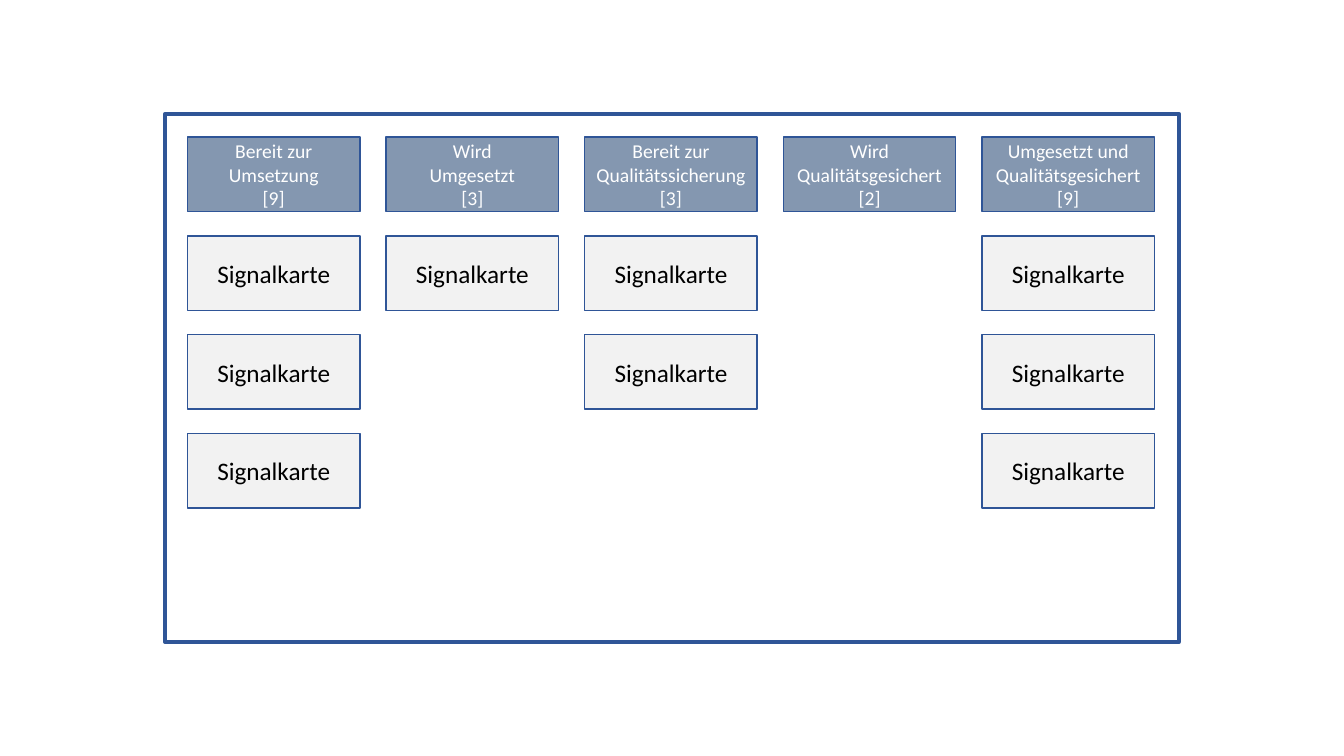
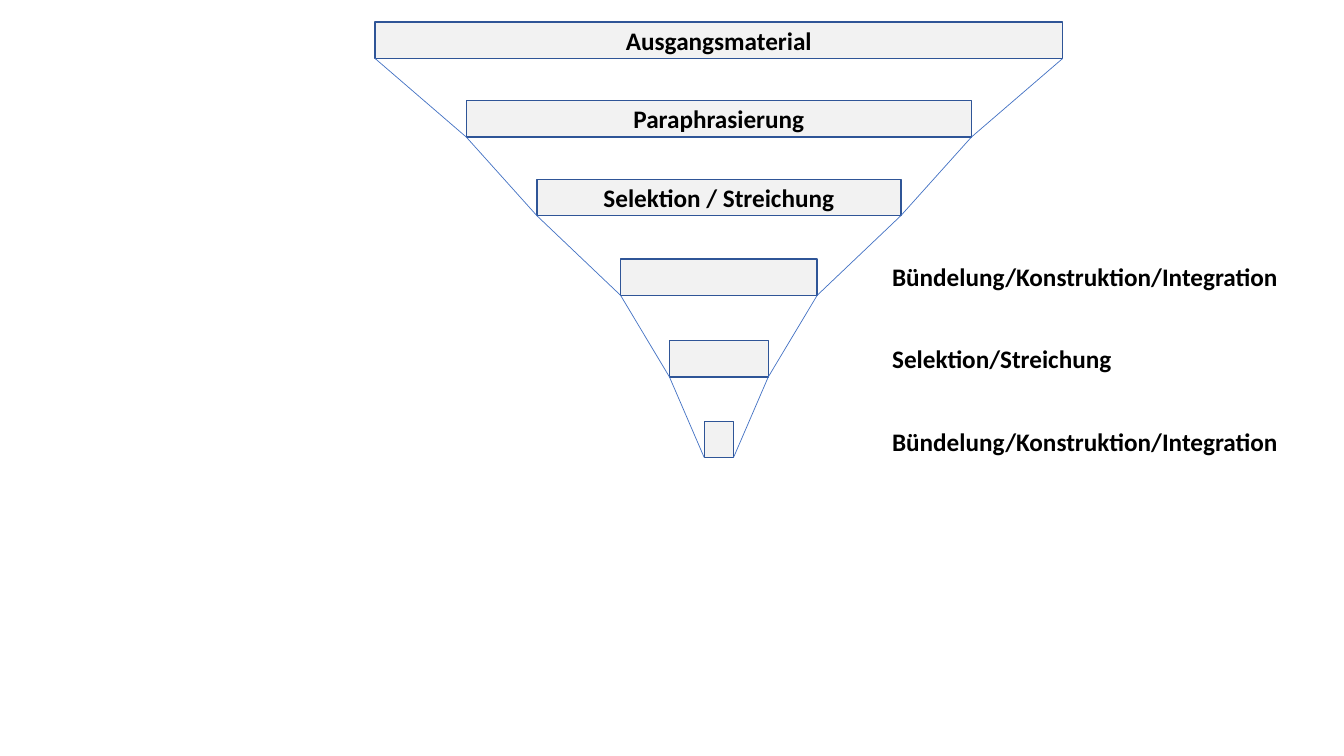
from dataclasses import dataclass
from itertools import pairwise

from pptx import Presentation
from pptx.dml.color import RGBColor
from pptx.enum.shapes import MSO_CONNECTOR, MSO_SHAPE
from pptx.enum.text import MSO_ANCHOR, MSO_AUTO_SIZE, PP_ALIGN
from pptx.oxml.ns import qn
from pptx.shapes.shapetree import GroupShapes
from pptx.text.text import TextFrame
from pptx.util import Inches, Pt
from lxml.etree import SubElement

WHITE = RGBColor(0xFF, 0xFF, 0xFF)
BLACK = RGBColor(0x00, 0x00, 0x00)
OUTLINE_BLUE = RGBColor(0x2F, 0x55, 0x97)
HEADER_BLUE = RGBColor(0x84, 0x97, 0xB0)
FUNNEL_BLUE = RGBColor(0x44, 0x72, 0xC4)
LIGHT_GREY = RGBColor(0xF2, 0xF2, 0xF2)
FONT = "Calibri"
BLANK_LAYOUT = 6


@dataclass(frozen=True)
class Area:
    left: float
    top: float
    width: float
    height: float

    @property
    def right(self) -> float:
        return self.left + self.width

    @property
    def bottom(self) -> float:
        return self.top + self.height

    def inches(self) -> tuple[int, int, int, int]:
        return (Inches(self.left), Inches(self.top),
                Inches(self.width), Inches(self.height))


@dataclass(frozen=True)
class TextStyle:
    size: int
    color: RGBColor
    bold: bool = False
    align: PP_ALIGN = PP_ALIGN.CENTER


@dataclass(frozen=True)
class Column:
    heading: tuple[str, ...]
    cards: int


@dataclass(frozen=True)
class Stage:
    top: float
    width: float
    text: str = ""


HEADER_TEXT = TextStyle(14, WHITE)
CARD_TEXT = TextStyle(18, BLACK)
BAR_TEXT = TextStyle(18, BLACK, bold=True)
LABEL_TEXT = TextStyle(18, BLACK, bold=True, align=PP_ALIGN.LEFT)

BOARD = Area(1.64, 1.13, 10.05, 5.24)
FIRST_CELL = Area(1.86, 1.36, 1.71, 0.74)
COLUMN_STEP, ROW_STEP = 1.97, 0.98
COLUMNS = (
    Column(("Bereit zur Umsetzung", "[9]"), 3),
    Column(("Wird", "Umgesetzt", "[3]"), 1),
    Column(("Bereit zur Qualitätssicherung", "[3]"), 2),
    Column(("Wird Qualitätsgesichert", "[2]"), 0),
    Column(("Umgesetzt und Qualitätsgesichert", "[9]"), 3),
)

FUNNEL_CENTER, BAR_HEIGHT = 7.13, 0.36
STAGES = (
    Stage(0.22, 6.82, "Ausgangsmaterial"),
    Stage(1.00, 5.01, "Paraphrasierung"),
    Stage(1.78, 3.61, "Selektion / Streichung"),
    Stage(2.57, 1.95),
    Stage(3.38, 0.98),
    Stage(4.18, 0.29),
)
FIRST_LABEL = Area(8.75, 2.54, 4.27, 0.4)
LABEL_STEP = 0.82
LABELS = (
    "Bündelung/Konstruktion/Integration",
    "Selektion/Streichung",
    "Bündelung/Konstruktion/Integration",
)


def write(frame: TextFrame, lines: tuple[str, ...], style: TextStyle) -> None:
    frame.word_wrap = True
    for index, line in enumerate(lines):
        para = frame.add_paragraph() if index else frame.paragraphs[0]
        para.text = line
        para.alignment = style.align
        font = para.font
        font.name, font.size, font.bold = FONT, Pt(style.size), style.bold
        font.color.rgb = style.color


def add_box(shapes: GroupShapes, area: Area, fill: RGBColor,
            lines: tuple[str, ...] = (), style: TextStyle = CARD_TEXT,
            line_width: float = 1) -> None:
    box = shapes.add_shape(MSO_SHAPE.RECTANGLE, *area.inches())
    box.shadow.inherit = False
    box.fill.solid()
    box.fill.fore_color.rgb = fill
    box.line.color.rgb = OUTLINE_BLUE
    box.line.width = Pt(line_width)
    box.text_frame.vertical_anchor = MSO_ANCHOR.MIDDLE
    write(box.text_frame, lines, style)


def add_line(shapes: GroupShapes, start: tuple[float, float],
             end: tuple[float, float]) -> None:
    line = shapes.add_connector(MSO_CONNECTOR.STRAIGHT,
                                *map(Inches, start + end))
    line.line.color.rgb = FUNNEL_BLUE
    line.line.width = Pt(0.5)
    SubElement(line._element.spPr, qn("a:effectLst"))


def add_label(shapes: GroupShapes, area: Area, text: str) -> None:
    label = shapes.add_textbox(*area.inches())
    write(label.text_frame, (text,), LABEL_TEXT)
    label.text_frame.auto_size = MSO_AUTO_SIZE.SHAPE_TO_FIT_TEXT


def board_cell(column: int, row: int) -> Area:
    return Area(FIRST_CELL.left + column * COLUMN_STEP,
                FIRST_CELL.top + row * ROW_STEP,
                FIRST_CELL.width, FIRST_CELL.height)


def draw_board(shapes: GroupShapes) -> None:
    add_box(shapes, BOARD, WHITE, line_width=3)
    for index, column in enumerate(COLUMNS):
        add_box(shapes, board_cell(index, 0), HEADER_BLUE,
                column.heading, HEADER_TEXT)
        for row in range(1, column.cards + 1):
            add_box(shapes, board_cell(index, row), LIGHT_GREY,
                    ("Signalkarte",))


def draw_funnel(shapes: GroupShapes) -> None:
    bars = [Area(FUNNEL_CENTER - stage.width / 2, stage.top,
                 stage.width, BAR_HEIGHT) for stage in STAGES]
    for bar, stage in zip(bars, STAGES):
        add_box(shapes, bar, LIGHT_GREY,
                (stage.text,) if stage.text else (), BAR_TEXT)
    for upper, lower in pairwise(bars):
        add_line(shapes, (upper.left, upper.bottom), (lower.left, lower.bottom))
        add_line(shapes, (upper.right, upper.bottom),
                 (lower.right, lower.bottom))
    for index, text in enumerate(LABELS):
        area = Area(FIRST_LABEL.left, FIRST_LABEL.top + index * LABEL_STEP,
                    FIRST_LABEL.width, FIRST_LABEL.height)
        add_label(shapes, area, text)


def main() -> None:
    deck = Presentation()
    deck.slide_width, deck.slide_height = Inches(13.33), Inches(7.5)
    for draw in (draw_board, draw_funnel):
        page = deck.slides.add_slide(deck.slide_layouts[BLANK_LAYOUT])
        draw(page.shapes.add_group_shape().shapes)
    deck.save("out.pptx")


if __name__ == "__main__":
    main()
